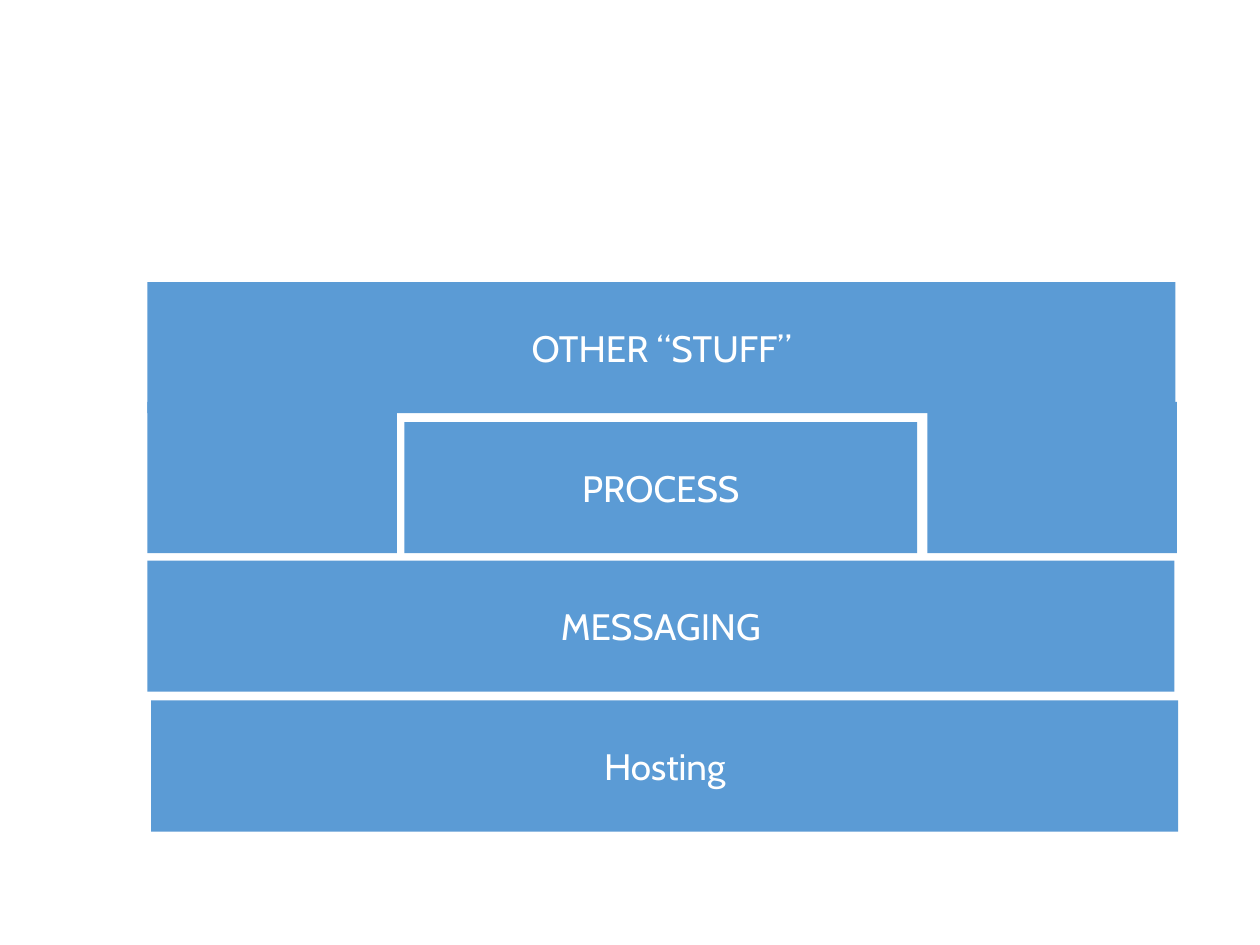
from pptx import Presentation
from pptx.dml.color import RGBColor
from pptx.enum import shapes, text
from pptx.util import Inches, Pt

BLUE = "5B9BD5"
WHITE = "FFFFFF"
FONT = "Cabin"
LAYER_HEIGHT = 1.04
LEG_TOP, LEG_WIDTH, LEG_HEIGHT = 3.19, 1.98, 1.2


def color(hex_value):
    return RGBColor.from_string(hex_value)


def add_block(parent, left, top, width, height=LAYER_HEIGHT, label=None):
    """Add a flat blue block, with a centred label if one is given."""
    block = parent.add_shape(
        shapes.MSO_SHAPE.RECTANGLE,
        Inches(left), Inches(top), Inches(width), Inches(height),
    )
    block.shadow.inherit = False
    block.fill.solid()
    block.fill.fore_color.rgb = color(BLUE)
    block.line.fill.background()
    if label:
        frame = block.text_frame
        frame.text = label
        frame.word_wrap = True
        frame.vertical_anchor = text.MSO_ANCHOR.MIDDLE
        paragraph = frame.paragraphs[0]
        paragraph.alignment = text.PP_ALIGN.CENTER
        font = paragraph.runs[0].font
        font.name = FONT
        font.size = Pt(21)
        font.color.rgb = color(WHITE)


def add_other_stuff(slide):
    """Add the arch over the process layer: a bar on two legs, grouped."""
    arch = slide.shapes.add_group_shape().shapes
    add_block(arch, 1.17, LEG_TOP, LEG_WIDTH, LEG_HEIGHT)
    add_block(arch, 1.17, 2.24, 8.16, label="OTHER “STUFF”")
    add_block(arch, 7.36, LEG_TOP, LEG_WIDTH, LEG_HEIGHT)


def main():
    prs = Presentation()
    prs.slide_width, prs.slide_height = Inches(10), Inches(7.5)
    slide = prs.slides.add_slide(prs.slide_layouts[6])
    slide.background.fill.solid()
    slide.background.fill.fore_color.rgb = color(WHITE)

    # Middle layers
    add_block(slide.shapes, 1.17, 4.45, 8.15, label="MESSAGING")
    add_block(slide.shapes, 3.21, 3.35, 4.07, label="PROCESS")

    # Top layer
    add_other_stuff(slide)

    # Base layer
    add_block(slide.shapes, 1.2, 5.56, 8.15, label="Hosting")

    prs.save("out.pptx")


if __name__ == "__main__":
    main()
